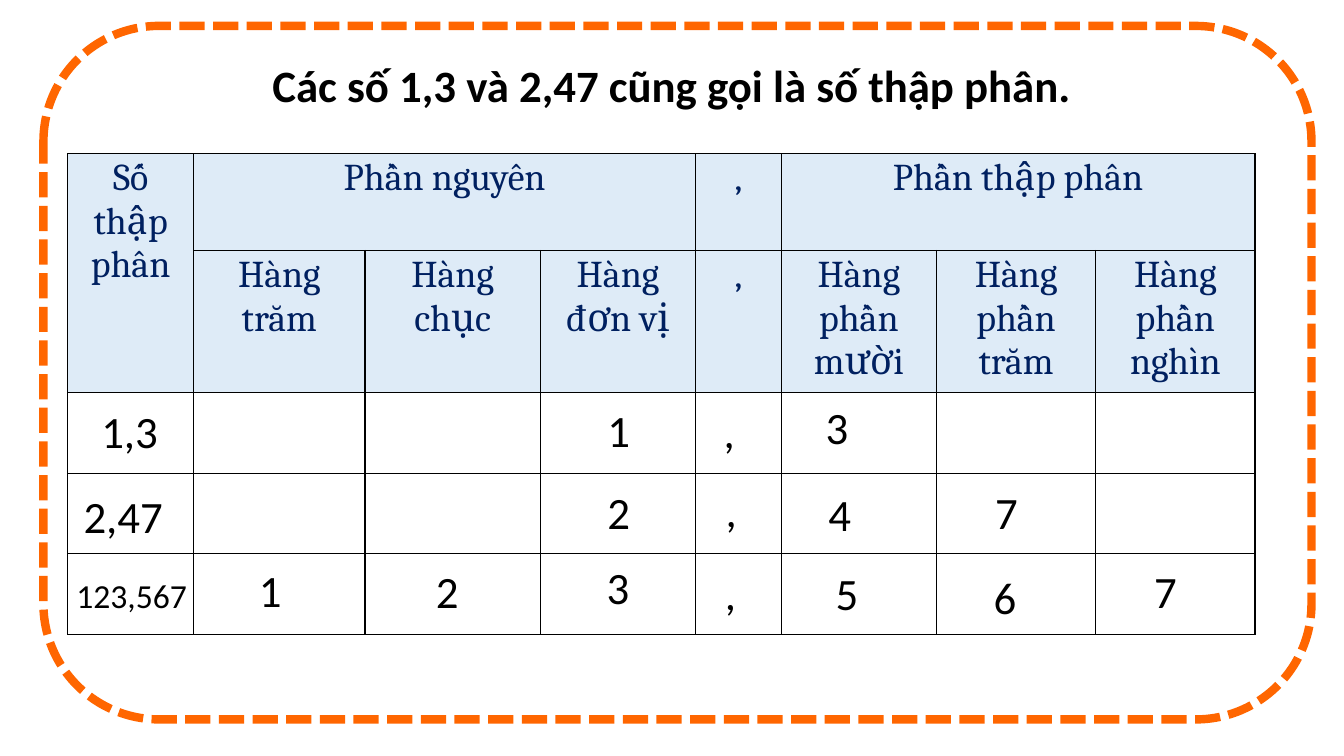
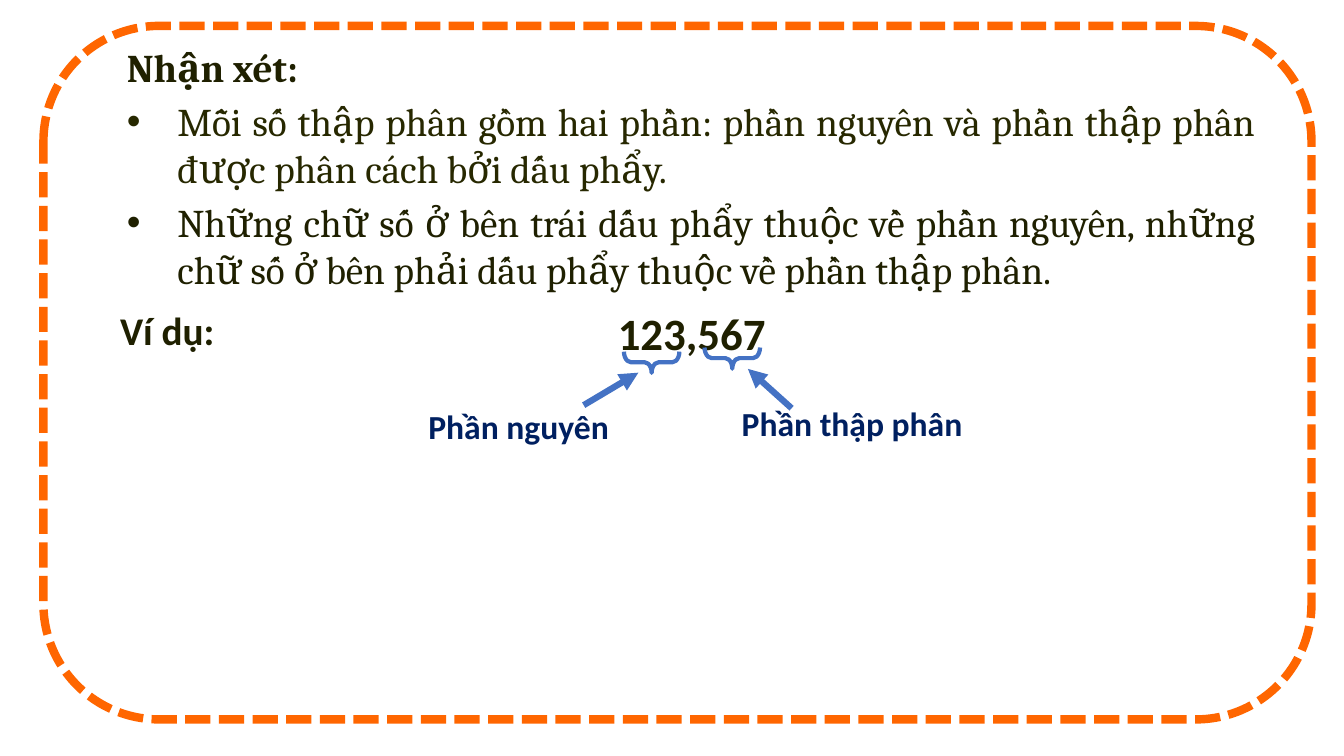
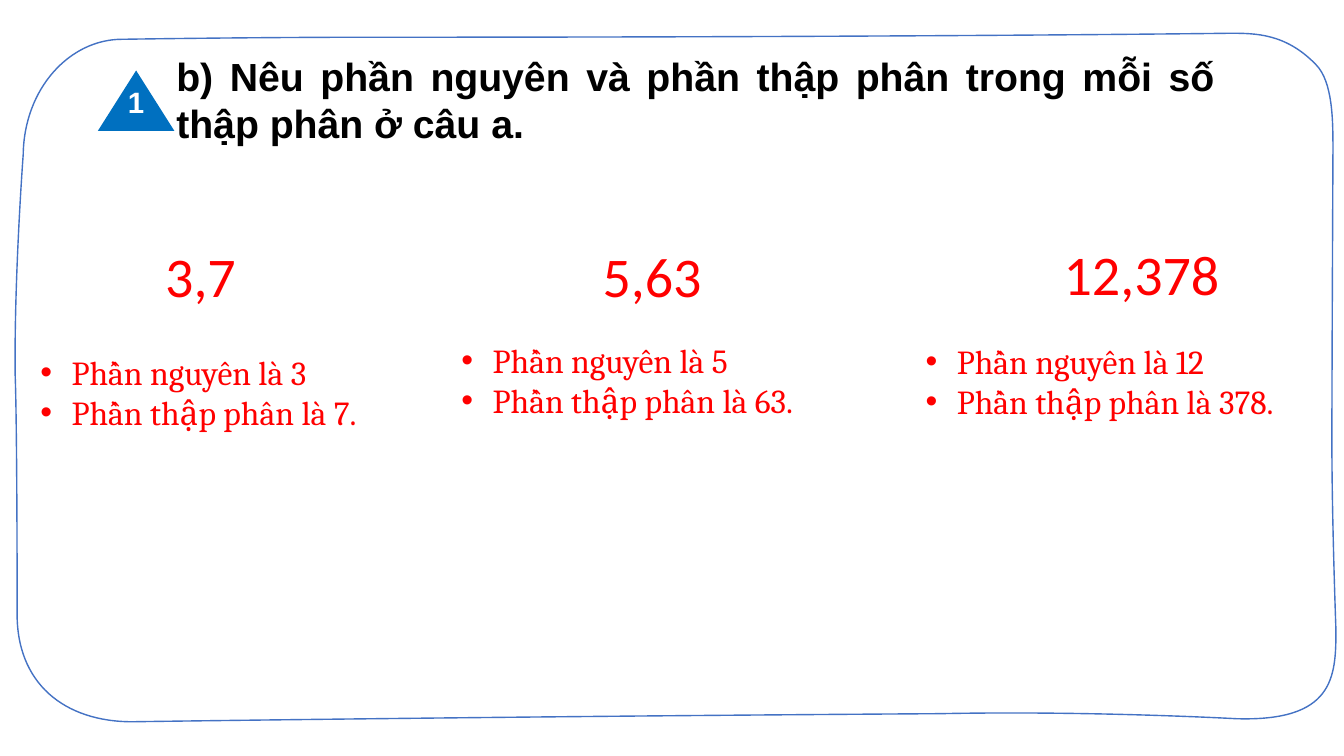
import pptx
import pptx.util
import pptx.dml.color
import pptx.enum.dml
import pptx.enum.shapes
import pptx.enum.text
import pptx.oxml
import pptx.oxml.ns
import lxml.etree

RGBColor = pptx.dml.color.RGBColor
SHAPE = pptx.enum.shapes.MSO_SHAPE
ALIGN = pptx.enum.text.PP_ALIGN

WHITE = RGBColor(0xFF, 0xFF, 0xFF)
BLACK = RGBColor(0, 0, 0)
ORANGE = RGBColor(0xFF, 0x66, 0x00)
NAVY = RGBColor(0x00, 0x20, 0x60)
PALE_BLUE = RGBColor(0xDE, 0xEB, 0xF7)
BLUE = RGBColor(0x44, 0x72, 0xC4)
BADGE_BLUE = RGBColor(0x00, 0x70, 0xC0)
DARK_OLIVE = RGBColor(0x1F, 0x20, 0x00)
OLIVE = RGBColor(0x27, 0x28, 0x00)
RED = RGBColor(0xFF, 0, 0)

deck = pptx.Presentation()
deck.slide_width = pptx.util.Inches(13.33)
deck.slide_height = pptx.util.Inches(7.5)
COL = deck.slide_width / 100
ROW = deck.slide_height / 100


def place(left, top, width, height):
    return int(left * COL), int(top * ROW), int(width * COL), int(height * ROW)


def write(slide, box, lines, font, size, color, bold=False, align=ALIGN.LEFT,
          after=0, indent=0, bullets_from=0, wrap=True):
    frame = slide.shapes.add_textbox(*place(*box)).text_frame
    frame.word_wrap = wrap
    frame.auto_size = pptx.enum.text.MSO_AUTO_SIZE.SHAPE_TO_FIT_TEXT
    frame.text = "\n".join(lines)
    for number, paragraph in enumerate(frame.paragraphs):
        paragraph.alignment = align
        if after:
            paragraph.space_after = pptx.util.Pt(after)
        if indent and number >= bullets_from:
            properties = paragraph._p.get_or_add_pPr()
            properties.set("marL", str(pptx.util.Inches(indent)))
            properties.set("indent", str(-pptx.util.Inches(indent)))
            for tag, key, value in (("a:buFont", "typeface", "Arial"), ("a:buChar", "char", "•")):
                lxml.etree.SubElement(properties, pptx.oxml.ns.qn(tag)).set(key, value)
        paragraph.font.name = font
        paragraph.font.size = pptx.util.Pt(size)
        paragraph.font.bold = bold
        paragraph.font.color.rgb = color
    return frame


place_values, remarks, exercise = [deck.slides.add_slide(deck.slide_layouts[6]) for _ in range(3)]

for slide in (place_values, remarks):
    border = slide.shapes.add_shape(SHAPE.ROUNDED_RECTANGLE, *place(3.23, 3.43, 94.35, 91.73))
    border.shadow.inherit = False
    border.fill.solid()
    border.fill.fore_color.rgb = WHITE
    border.line.color.rgb = ORANGE
    border.line.width = pptx.util.Pt(6)
    border.line.dash_style = pptx.enum.dml.MSO_LINE.SQUARE_DOT

write(place_values, (19.53, 6.93, 66.1, 8.5), ["Các số 1,3 và 2,47 cũng gọi là số thập phân."],
      "Calibri", 32, BLACK, bold=True, align=ALIGN.JUSTIFY)

column_shares = (9.38, 12.75, 13.05, 11.55, 6.38, 11.55, 11.85, 11.85)
row_shares = (12.8, 12.8, 10.65, 10.65, 10.65)
headings = (
    ("Số thập phân", "Phần nguyên", "", "", ",", "Phần thập phân", "", ""),
    ("", "Hàng trăm", "Hàng chục", "Hàng đơn vị", ",",
     "Hàng phần mười", "Hàng phần trăm", "Hàng phần nghìn"),
)
grid = place_values.shapes.add_table(
    len(row_shares), len(column_shares),
    *place(5.03, 20.33, sum(column_shares), sum(row_shares))).table
for column, share in zip(grid.columns, column_shares):
    column.width = int(share * COL)
for row, share in zip(grid.rows, row_shares):
    row.height = int(share * ROW)
for r in range(len(row_shares)):
    for c in range(len(column_shares)):
        cell = grid.cell(r, c)
        for side in ("lnL", "lnR", "lnT", "lnB"):
            cell._tc.get_or_add_tcPr().append(pptx.oxml.parse_xml(
                f'<a:{side} {pptx.oxml.ns.nsdecls("a")} w="12700"><a:solidFill>'
                f'<a:srgbClr val="{BLACK}"/></a:solidFill></a:{side}>'))
        cell.fill.solid()
        cell.fill.fore_color.rgb = PALE_BLUE if r < len(headings) else WHITE
        cell.margin_left = cell.margin_right = pptx.util.Inches(0.07)
        cell.margin_top = cell.margin_bottom = pptx.util.Inches(0.03)
        if r < len(headings) and headings[r][c]:
            cell.text = headings[r][c]
            heading = cell.text_frame.paragraphs[0]
            heading.alignment = ALIGN.CENTER
            heading.font.name = "Cambria"
            heading.font.size = pptx.util.Pt(27)
            heading.font.bold = False
            heading.font.color.rgb = NAVY
for first, last in (((0, 0), (1, 0)), ((0, 1), (0, 3)), ((0, 5), (0, 7))):
    grid.cell(*first).merge(grid.cell(*last))

for digits, left, top, width, size in (
    ("1,3", 6.8, 52.8, 7.05, 32),
    ("1", 44.45, 52.65, 7.05, 32),
    (",", 53.1, 52.8, 7.05, 32),
    ("3", 60.7, 52.25, 7.05, 32),
    ("2,47", 5.48, 64, 8.25, 32),
    ("2", 44.45, 63.5, 7.05, 32),
    (",", 53.25, 63.2, 7.05, 32),
    ("4", 60.9, 63.75, 7.05, 32),
    ("7", 73.3, 63.5, 7.05, 32),
    ("123,567", 4.95, 75.45, 10.5, 24),
    ("1", 18.53, 73.75, 7.05, 32),
    ("2", 31.7, 73.9, 7.05, 32),
    ("3", 44.4, 73.35, 7.05, 32),
    (",", 53.2, 74.15, 7.05, 32),
    ("5", 61.43, 74.15, 7.05, 32),
    ("6", 73.2, 74.65, 7.05, 32),
    ("7", 85.13, 73.9, 7.05, 32),
):
    write(place_values, (left, top, width, size * 0.27), [digits], "Calibri", size, BLACK)

remark = write(remarks, (8.7, 5.05, 85.4, 34.7), [
    "Nhận xét:",
    "Mỗi số thập phân gồm hai phần: phần nguyên và phần thập phân được phân cách bởi dấu phẩy.",
    "Những chữ số ở bên trái dấu phẩy thuộc về phần nguyên, "
    "những chữ số ở bên phải dấu phẩy thuộc về phần thập phân.",
], "Cambria", 28, DARK_OLIVE, align=ALIGN.JUSTIFY, after=5, indent=0.5, bullets_from=1)
remark.paragraphs[0].font.bold = True
remark.paragraphs[1].font.color.rgb = OLIVE
write(remarks, (8.2, 39.87, 9.45, 7.6), ["Ví dụ:"], "Calibri", 28, DARK_OLIVE,
      bold=True, align=ALIGN.JUSTIFY, after=5)
write(remarks, (45.23, 39.77, 15.7, 8.5), ["123,567"], "Calibri", 32, DARK_OLIVE,
      bold=True, align=ALIGN.JUSTIFY, after=5)

for part, label_box, brace_corner, arrow_from, arrow_to in (
    ("Phần nguyên", (31.13, 53.1, 17.6, 6.7), (47.7, 44.25), (43.43, 53.6), (47.5, 49.3)),
    ("Phần thập phân", (54.45, 52.7, 22, 6.7), (53.7, 43.7), (58.9, 54), (55.65, 48.8)),
):
    brace = remarks.shapes.add_shape(SHAPE.LEFT_BRACE, *place(*brace_corner, 1.58, 7.33))
    brace.rotation = 270
    brace.adjustments[0] = 0.33
    brace.shadow.inherit = False
    brace.fill.background()
    brace.line.color.rgb = BLUE
    brace.line.width = pptx.util.Pt(3)
    arrow = remarks.shapes.add_connector(
        pptx.enum.shapes.MSO_CONNECTOR.STRAIGHT, *place(*arrow_from, *arrow_to))
    arrow.line.color.rgb = BLUE
    arrow.line.width = pptx.util.Pt(4.5)
    lxml.etree.SubElement(arrow.line._get_or_add_ln(), pptx.oxml.ns.qn("a:tailEnd")).set("type", "triangle")
    lxml.etree.SubElement(arrow._element.spPr, pptx.oxml.ns.qn("a:effectLst"))
    write(remarks, label_box, [part], "Calibri", 24, NAVY, bold=True)

outline_start = (9.08, 5.2)
outline_curves = (
    ((9.08, 5.2), (18.45, 4.93), (27.9, 4.93)),
    ((68.5, 4.93), (91.5, 4.4), (91.5, 4.4)),
    ((93.4, 4.4), (95.65, 4.4), (97.9, 8.53)),
    ((99.18, 10.8), (99.18, 16), (99.18, 19.87)),
    ((99.18, 19.87), (99.1, 49.6), (99.1, 58.53)),
    ((99.1, 68.8), (99.4, 83.33), (99.4, 83.33)),
    ((99.4, 89.6), (99.25, 95.47), (91.97, 95.07)),
    ((91.97, 95.07), (81.1, 94), (70, 94.4)),
    ((35.7, 94.8), (9.83, 95.47), (9.83, 95.47)),
    ((4.88, 95.47), (1.13, 90.53), (1.28, 80.67)),
    ((1.28, 80.67), (1.28, 56.53), (1.13, 49.6)),
    ((1.05, 36.53), (1.73, 20.4), (1.73, 20.4)),
    ((1.8, 11.73), (5.18, 5.2), (9.08, 5.2)),
)
outline_builder = exercise.shapes.build_freeform(int(outline_start[0] * COL), int(outline_start[1] * ROW))
outline_builder.add_line_segments(
    [(int(x * COL), int(y * ROW)) for curve in outline_curves for x, y in curve], close=True)
outline = outline_builder.convert_to_shape()
segments = list(outline._element.iter(pptx.oxml.ns.qn("a:lnTo")))
for start in range(0, len(outline_curves) * 3, 3):
    bend = lxml.etree.Element(pptx.oxml.ns.qn("a:cubicBezTo"))
    segments[start].addprevious(bend)
    for segment in segments[start:start + 3]:
        bend.append(segment[0])
for segment in segments:
    segment.getparent().remove(segment)
outline.shadow.inherit = False
outline.fill.solid()
outline.fill.fore_color.rgb = WHITE
outline.line.color.rgb = BLUE
outline.line.width = pptx.util.Pt(1)

badge = exercise.shapes.add_shape(SHAPE.ISOSCELES_TRIANGLE, *place(7.28, 9.33, 5.7, 8))
badge.shadow.inherit = False
badge.fill.solid()
badge.fill.fore_color.rgb = BADGE_BLUE
badge.line.fill.background()
write(exercise, (8.78, 10.45, 2.7, 6), ["1"], "Arial", 21, WHITE, bold=True, align=ALIGN.CENTER, wrap=False)
write(exercise, (12.38, 6.27, 78.75, 13.87),
      ["b) Nêu phần nguyên và phần thập phân trong mỗi số thập phân ở câu a."],
      "Arial", 28, BLACK, bold=True, align=ALIGN.JUSTIFY)

for number, number_corner, number_width, answer_corner, answer_width in (
    ("3,7", (11.55, 31.25), 11.48, (2.27, 45.87), 29.63),
    ("5,63", (44.1, 31.35), 13.5, (33.6, 44.27), 32.55),
    ("12,378", (78.4, 30.97), 13.5, (68.13, 44.4), 31.87),
):
    whole, decimal = number.split(",")
    write(exercise, (*number_corner, number_width, 10.27), [number], "Calibri", 40, RED)
    write(exercise, (*answer_corner, answer_width, 12.13),
          [f"Phần nguyên là {whole}", f"Phần thập phân là {decimal}."],
          "Cambria", 24, RED, indent=0.31)

deck.save("out.pptx")
